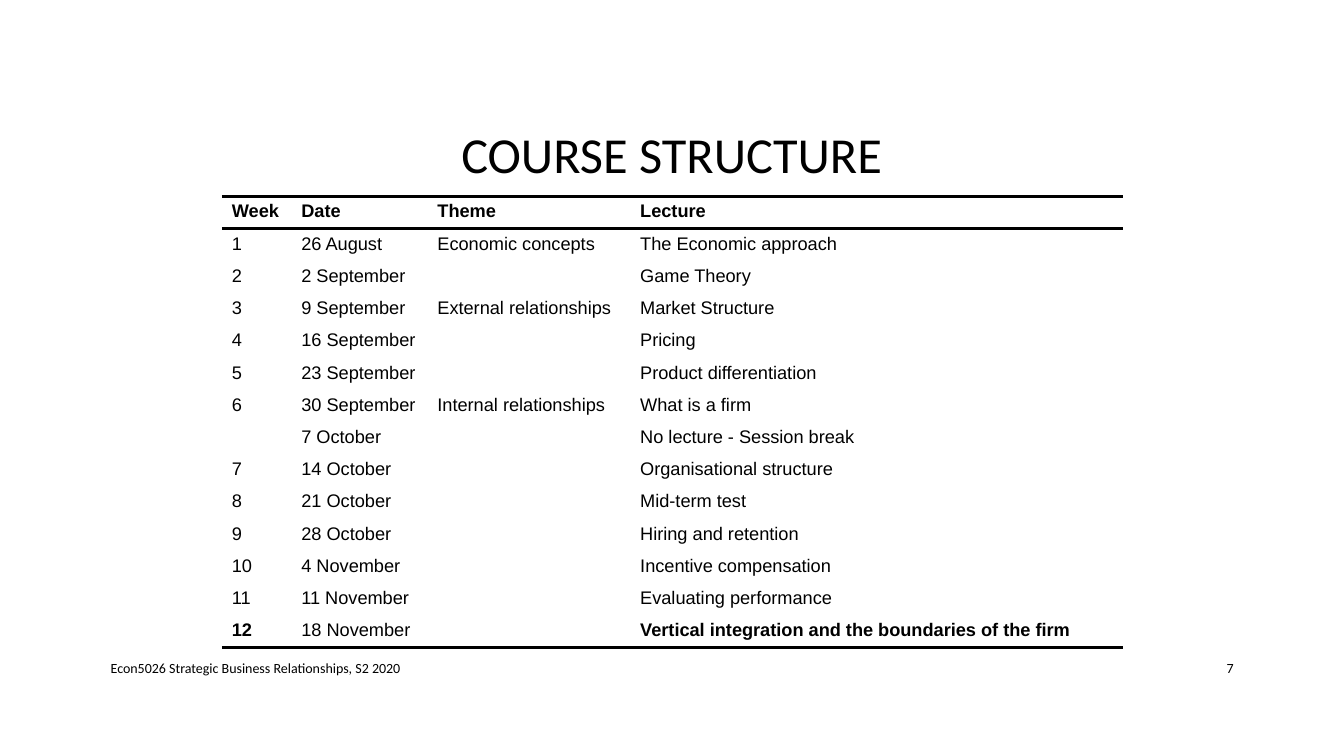
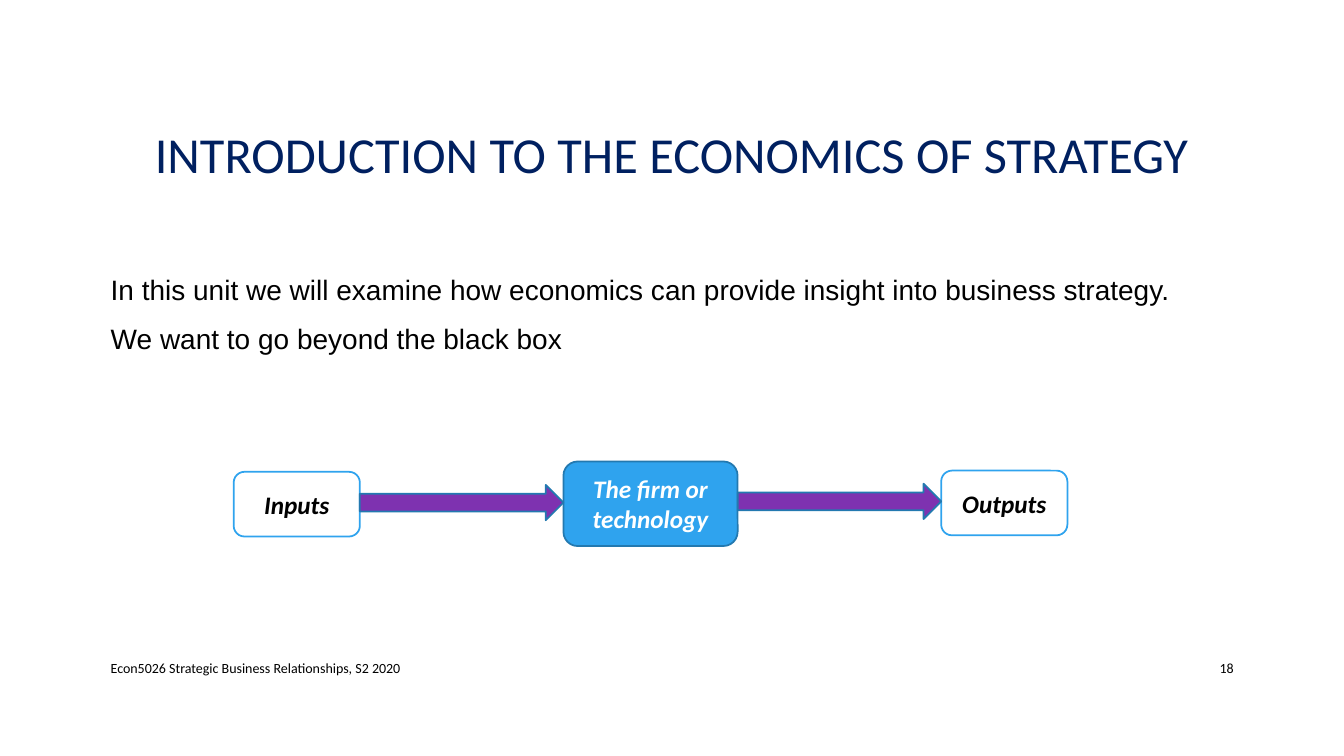
"""Build two lecture slides: a course timetable and a black-box diagram of the firm."""
from lxml.etree import SubElement
from pptx import Presentation
from pptx.dml.color import RGBColor
from pptx.enum.shapes import MSO_SHAPE as Preset
from pptx.enum.text import MSO_ANCHOR as Anchor, PP_ALIGN as Align
from pptx.oxml.ns import qn
from pptx.util import Cm, Pt

COLOURS = {
    "black": "000000",
    "white": "FFFFFF",
    "navy": "002060",
    "blue": "2FA3EE",
    "dark blue": "2379B0",
    "purple": "7E32B0",
}
HEADING_FONT, BODY_FONT = "Calibri", "Arial"
FOOTER = "Econ5026 Strategic Business Relationships, S2 2020"
PLAIN_TABLE_STYLE = "{2D5ABB26-0587-4C30-8999-92F81FD0307C}"

TIMETABLE = [
    ("Week", "Date", "Theme", "Lecture"),
    ("1", "26 August", "Economic concepts", "The Economic approach"),
    ("2", "2 September", "", "Game Theory"),
    ("3", "9 September", "External relationships", "Market Structure"),
    ("4", "16 September", "", "Pricing"),
    ("5", "23 September", "", "Product differentiation"),
    ("6", "30 September", "Internal relationships", "What is a firm"),
    ("", "7 October", "", "No lecture - Session break"),
    ("7", "14 October", "", "Organisational structure"),
    ("8", "21 October", "", "Mid-term test"),
    ("9", "28 October", "", "Hiring and retention"),
    ("10", "4 November", "", "Incentive compensation"),
    ("11", "11 November", "", "Evaluating performance"),
    ("12", "18 November", "", "Vertical integration and the boundaries of the firm"),
]


def colour(name):
    return RGBColor.from_string(COLOURS[name])


class Deck:
    def __init__(self):
        self.presentation = Presentation()
        self.presentation.slide_width = Cm(33.87)
        self.presentation.slide_height = Cm(19.05)
        self.slide = None

    def add_slide(self, title, number, title_colour="black"):
        self.slide = self.presentation.slides.add_slide(self.presentation.slide_layouts[6])
        heading = self.text((2.54, 1.73, 28.78, 4.45), [title], 36, title_colour, align=Align.CENTER)
        heading.paragraphs[0].line_spacing = 0.9
        self.text((2.54, 16.33, 18.54, 1.02), [FOOTER], 10)
        self.text((29.21, 16.33, 2.13, 1.02), [str(number)], 10, align=Align.RIGHT)

    def style(self, paragraph, size, ink, font=HEADING_FONT, bold=False, italic=False):
        for run in paragraph.runs:
            run.font.name = font
            run.font.size = Pt(size)
            run.font.bold = bold
            run.font.italic = italic
            run.font.color.rgb = colour(ink)

    def text(self, box, lines, size, ink="black", font=HEADING_FONT, align=Align.LEFT, anchor=Anchor.MIDDLE):
        frame = self.slide.shapes.add_textbox(*map(Cm, box)).text_frame
        frame.word_wrap = True
        frame.vertical_anchor = anchor
        frame.text = "\n".join(lines)
        for paragraph in frame.paragraphs:
            paragraph.alignment = align
            self.style(paragraph, size, ink, font)
        return frame

    def body(self, box, lines):
        frame = self.text(box, lines, 20, font=BODY_FONT, anchor=Anchor.TOP)
        for index, paragraph in enumerate(frame.paragraphs):
            paragraph.line_spacing = 1.2
            paragraph.space_before = Pt(6 if index else 0)

    def shape(self, preset, box, fill, line, label="", ink="black"):
        shape = self.slide.shapes.add_shape(preset, *map(Cm, box))
        shape.shadow.inherit = False
        shape.fill.solid()
        shape.fill.fore_color.rgb = colour(fill)
        shape.line.color.rgb = colour(line)
        shape.line.width = Pt(1.25)
        if label:
            shape.text_frame.text = label
            shape.text_frame.vertical_anchor = Anchor.MIDDLE
            paragraph = shape.text_frame.paragraphs[0]
            paragraph.alignment = Align.CENTER
            self.style(paragraph, 18, ink, bold=True, italic=True)

    def border(self, cell, side):
        line = SubElement(cell._tc.get_or_add_tcPr(), qn(f"a:ln{side}"), w=str(Pt(2)))
        fill = SubElement(line, qn("a:solidFill"))
        SubElement(fill, qn("a:srgbClr"), val=COLOURS["black"])

    def table(self, left, top, widths, height, rows, size, bold_cells):
        last = len(rows) - 1
        frame = self.slide.shapes.add_table(
            len(rows), len(widths), Cm(left), Cm(top), Cm(sum(widths)), Cm(height))
        table = frame.table
        table.first_row = table.horz_banding = False
        table._tbl.tblPr.find(qn("a:tableStyleId")).text = PLAIN_TABLE_STYLE
        for column, width in zip(table.columns, widths):
            column.width = Cm(width)
        for r, row in enumerate(rows):
            table.rows[r].height = Cm(height / len(rows))
            for c, value in enumerate(row):
                cell = table.cell(r, c)
                cell.text = value
                paragraph = cell.text_frame.paragraphs[0]
                self.style(paragraph, size, "black", BODY_FONT, bold=r == 0 or (r, c) in bold_cells)
                if not value:
                    SubElement(paragraph._p, qn("a:endParaRPr"), sz=str(size * 100))
                if r == 0:
                    self.border(cell, "T")
                if r in (0, last):
                    self.border(cell, "B")
                cell.fill.background()


def main():
    deck = Deck()

    deck.add_slide("COURSE STRUCTURE", 7)
    last = len(TIMETABLE) - 1
    deck.table(5.59, 4.95, (1.75, 3.43, 5.11, 12.42), 11.38, TIMETABLE, 13, {(last, 0), (last, 3)})

    deck.add_slide("INTRODUCTION TO THE ECONOMICS OF STRATEGY", 18, "navy")
    deck.body((2.54, 6.58, 28.78, 2.95), [
        "In this unit we will examine how economics can provide insight into business strategy.",
        "We want to go beyond the black box",
    ])
    side_width, firm_width, arrow_width = 3.18, 4.39, 5.13
    inputs_left = 5.89
    first_arrow = inputs_left + side_width
    firm_left = first_arrow + arrow_width
    second_arrow = firm_left + firm_width
    outputs_left = second_arrow + arrow_width
    for label, left, top in (("Inputs", inputs_left, 11.89), ("Outputs", outputs_left, 11.86)):
        deck.shape(Preset.ROUNDED_RECTANGLE, (left, top, side_width, 1.63), "white", "blue", label)
    deck.shape(Preset.ROUNDED_RECTANGLE, (firm_left, 11.63, firm_width, 2.13),
               "blue", "dark blue", "The firm or technology", "white")
    for left, top in ((first_arrow, 12.22), (second_arrow, 12.19)):
        deck.shape(Preset.RIGHT_ARROW, (left, top, arrow_width, 0.89), "purple", "dark blue")

    deck.presentation.save("out.pptx")


if __name__ == "__main__":
    main()
